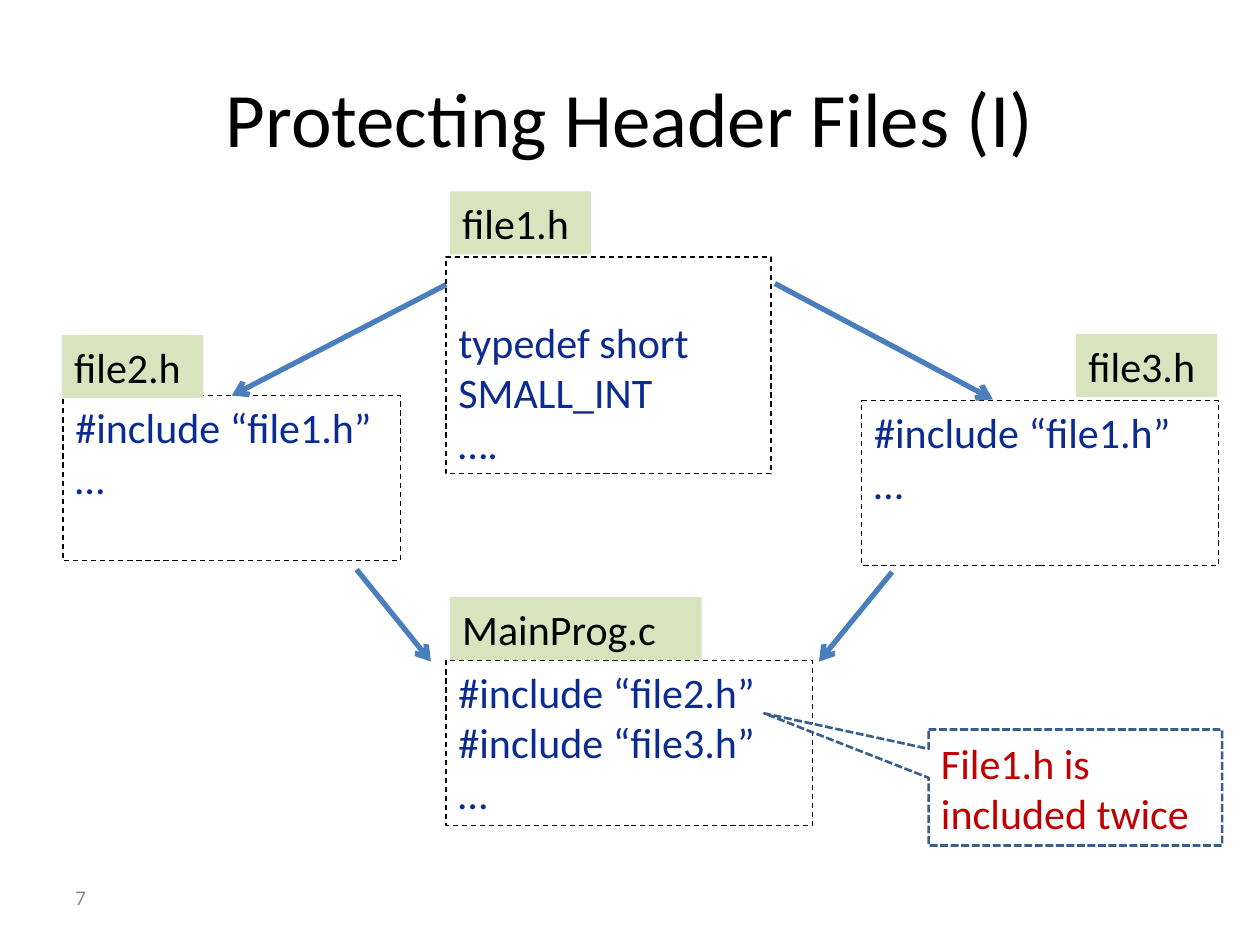
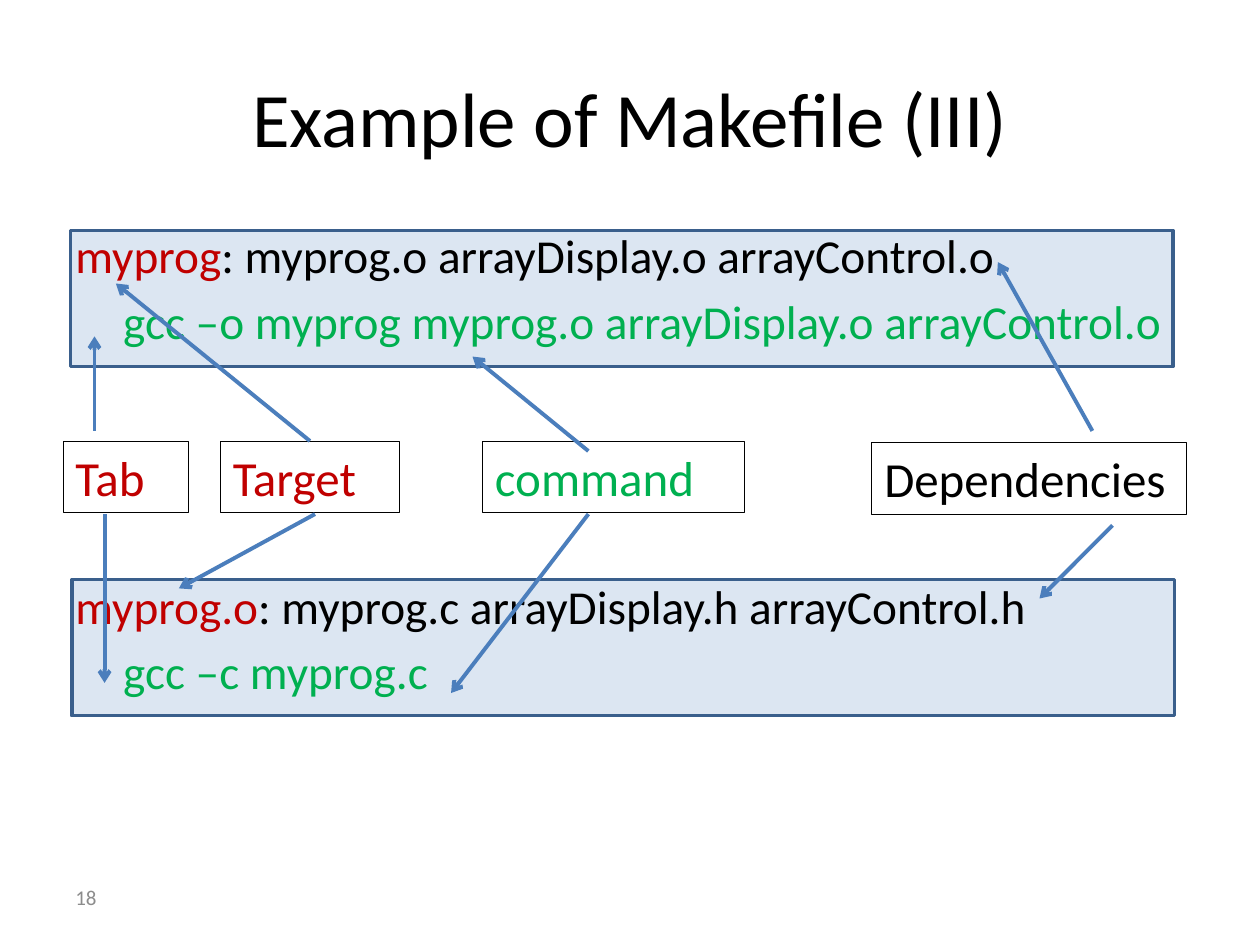
import lxml.etree
import pptx
import pptx.dml.color
import pptx.enum.dml
import pptx.enum.shapes
import pptx.enum.text
import pptx.oxml.ns
import pptx.util

Inches = pptx.util.Inches
Pt = pptx.util.Pt
RGBColor = pptx.dml.color.RGBColor
Dash = pptx.enum.dml.MSO_LINE
Shape = pptx.enum.shapes.MSO_SHAPE
Anchor = pptx.enum.text.MSO_ANCHOR
Align = pptx.enum.text.PP_ALIGN
qn = pptx.oxml.ns.qn

BLACK = RGBColor(0x00, 0x00, 0x00)
WHITE = RGBColor(0xFF, 0xFF, 0xFF)
GRAY = RGBColor(0x8C, 0x8C, 0x8C)
CODE_BLUE = RGBColor(0x0B, 0x2B, 0x91)
ARROW_BLUE = RGBColor(0x4B, 0x7E, 0xBC)
EDGE_BLUE = RGBColor(0x3A, 0x5F, 0x8C)
PALE_BLUE = RGBColor(0xDC, 0xE6, 0xF2)
PALE_GREEN = RGBColor(0xD7, 0xE4, 0xBD)
RED = RGBColor(0xC0, 0x00, 0x00)
GREEN = RGBColor(0x00, 0xB0, 0x50)


class Deck:
    font_name = "Calibri"

    def __init__(self):
        self.presentation = pptx.Presentation()
        self.presentation.slide_width = Inches(10)
        self.presentation.slide_height = Inches(7.5)
        self.slide = None

    def new_slide(self, title, number):
        self.slide = self.presentation.slides.add_slide(self.presentation.slide_layouts[6])
        self.text((0.5, 0.3, 9, 1.25), [title], 44, BLACK, Anchor.MIDDLE, Align.CENTER)
        self.text((0.5, 6.92, 2.33, 0.4), [number], 12, GRAY, Anchor.MIDDLE)

    def style(self, paragraph, size, color=None):
        paragraph.font.name = self.font_name
        paragraph.font.size = Pt(size)
        if color is not None:
            paragraph.font.color.rgb = color

    def set_lines(self, holder, lines, size, color, anchor=Anchor.TOP, align=Align.LEFT):
        frame = holder.text_frame
        frame.word_wrap = True
        frame.vertical_anchor = anchor
        frame.text = "\n".join(lines)
        for paragraph in frame.paragraphs:
            paragraph.alignment = align
            self.style(paragraph, size, color)

    def text(self, box, lines, size, color, anchor=Anchor.TOP, align=Align.LEFT):
        holder = self.slide.shapes.add_textbox(*map(Inches, box))
        self.set_lines(holder, lines, size, color, anchor, align)

    def panel(self, box, fill=None, edge=None, width=0.75, dash=None, kind=Shape.RECTANGLE):
        panel = self.slide.shapes.add_shape(kind, *map(Inches, box))
        panel.shadow.inherit = False
        if fill is None:
            panel.fill.background()
        else:
            panel.fill.solid()
            panel.fill.fore_color.rgb = fill
        if edge is None:
            panel.line.fill.background()
        else:
            panel.line.color.rgb = edge
            panel.line.width = Pt(width)
            if dash is not None:
                panel.line.dash_style = dash
        return panel

    def code(self, box, lines, anchor=Anchor.TOP):
        code = self.panel(box, edge=BLACK, dash=Dash.DASH)
        self.set_lines(code, lines, 24, CODE_BLUE, anchor)
        return code

    def file_tag(self, left, top, name, width=1.12):
        tag = self.panel((left, top, width, 0.5), PALE_GREEN)
        self.set_lines(tag, [name], 24, BLACK)

    def callout(self, box, words, tip):
        callout = self.panel(box, WHITE, EDGE_BLUE, 1.5, Dash.SQUARE_DOT,
                             Shape.RECTANGULAR_CALLOUT)
        callout.adjustments[0], callout.adjustments[1] = tip
        self.set_lines(callout, [words], 24, RED, Anchor.MIDDLE)

    def term(self, left, top, width, word, color):
        term = self.panel((left, top, width, 0.57), edge=BLACK, width=0.5)
        self.set_lines(term, [word], 28, color)
        return term

    def rule(self, top, target, dependencies, command):
        holder = self.slide.shapes.add_textbox(Inches(0.5), Inches(top), Inches(9), Inches(1.1))
        frame = holder.text_frame
        frame.word_wrap = True
        head = frame.paragraphs[0]
        self.style(head, 27)
        for words, color in ((target, RED), (": " + dependencies, BLACK)):
            run = head.add_run()
            run.text = words
            run.font.color.rgb = color
        recipe = frame.add_paragraph()
        recipe.text = command
        recipe.space_before = Pt(5)
        self.style(recipe, 27, GREEN)
        recipe._p.get_or_add_pPr().set("marL", str(Inches(0.38)))

    def arrow(self, start, end, width):
        arrow = self.slide.shapes.add_connector(
            pptx.enum.shapes.MSO_CONNECTOR.STRAIGHT, *map(Inches, start + end))
        arrow.line.color.rgb = ARROW_BLUE
        arrow.line.width = Pt(width)
        properties = arrow._element.spPr
        lxml.etree.SubElement(properties.find(qn("a:ln")), qn("a:tailEnd"), type="arrow")
        lxml.etree.SubElement(properties, qn("a:effectLst"))
        return arrow


def header_files(deck):
    deck.new_slide("Protecting Header Files (I)", "7")
    deck.code((3.54, 2.04, 2.58, 1.72), ["typedef short SMALL_INT", "…."], Anchor.BOTTOM)
    include_file1 = ["#include “file1.h”", "…"]
    file2 = deck.code((0.5, 3.14, 2.68, 1.31), include_file1)
    deck.code((6.84, 3.18, 2.83, 1.31), include_file1)
    deck.code((3.54, 5.24, 2.91, 1.31), ["#include “file2.h”", "#include “file3.h”", "…"])

    deck.arrow((3.54, 2.26), (1.84, 3.14), 3).end_connect(file2, 0)
    for start, end in (((6.15, 2.25), (7.88, 3.17)),
                       ((2.83, 4.52), (3.42, 5.25)),
                       ((7.08, 4.54), (6.5, 5.25))):
        deck.arrow(start, end, 3)

    deck.file_tag(3.57, 1.52, "file1.h")
    deck.file_tag(0.49, 2.66, "file2.h")
    deck.file_tag(8.54, 2.65, "file3.h")
    deck.file_tag(3.57, 4.74, "MainProg.c", 2)
    deck.callout((7.37, 5.79, 2.33, 0.92), "File1.h is included twice", (-1.06, -0.64))


def makefile(deck):
    deck.new_slide("Example of Makefile (III)", "18")
    deck.panel((0.56, 1.83, 8.75, 1.08), PALE_BLUE, EDGE_BLUE, 2)
    deck.panel((0.57, 4.6, 8.75, 1.08), PALE_BLUE, EDGE_BLUE, 2)
    deck.rule(1.75, "myprog", "myprog.o arrayDisplay.o arrayControl.o",
              "gcc –o myprog myprog.o arrayDisplay.o arrayControl.o")
    deck.rule(4.53, "myprog.o", "myprog.c arrayDisplay.h arrayControl.h",
              "gcc –c myprog.c")

    deck.term(0.5, 3.5, 1, "Tab", RED)
    target = deck.term(1.75, 3.5, 1.42, "Target", RED)
    deck.term(3.83, 3.5, 2.08, "command", GREEN)
    deck.term(6.92, 3.51, 2.5, "Dependencies", BLACK)

    deck.arrow((2.46, 3.5), (0.92, 2.25), 2.25).begin_connect(target, 0)
    for start, end in (((2.5, 4.08), (1.42, 4.67)),
                       ((4.67, 4.08), (3.58, 5.5)),
                       ((4.67, 3.58), (3.75, 2.83)),
                       ((8.67, 3.42), (7.92, 2.08)),
                       ((8.83, 4.17), (8.25, 4.75)),
                       ((0.75, 3.42), (0.75, 2.67)),
                       ((0.83, 4.08), (0.83, 5.42))):
        deck.arrow(start, end, 2.25)


def main():
    deck = Deck()
    header_files(deck)
    makefile(deck)
    deck.presentation.save("out.pptx")


if __name__ == "__main__":
    main()
